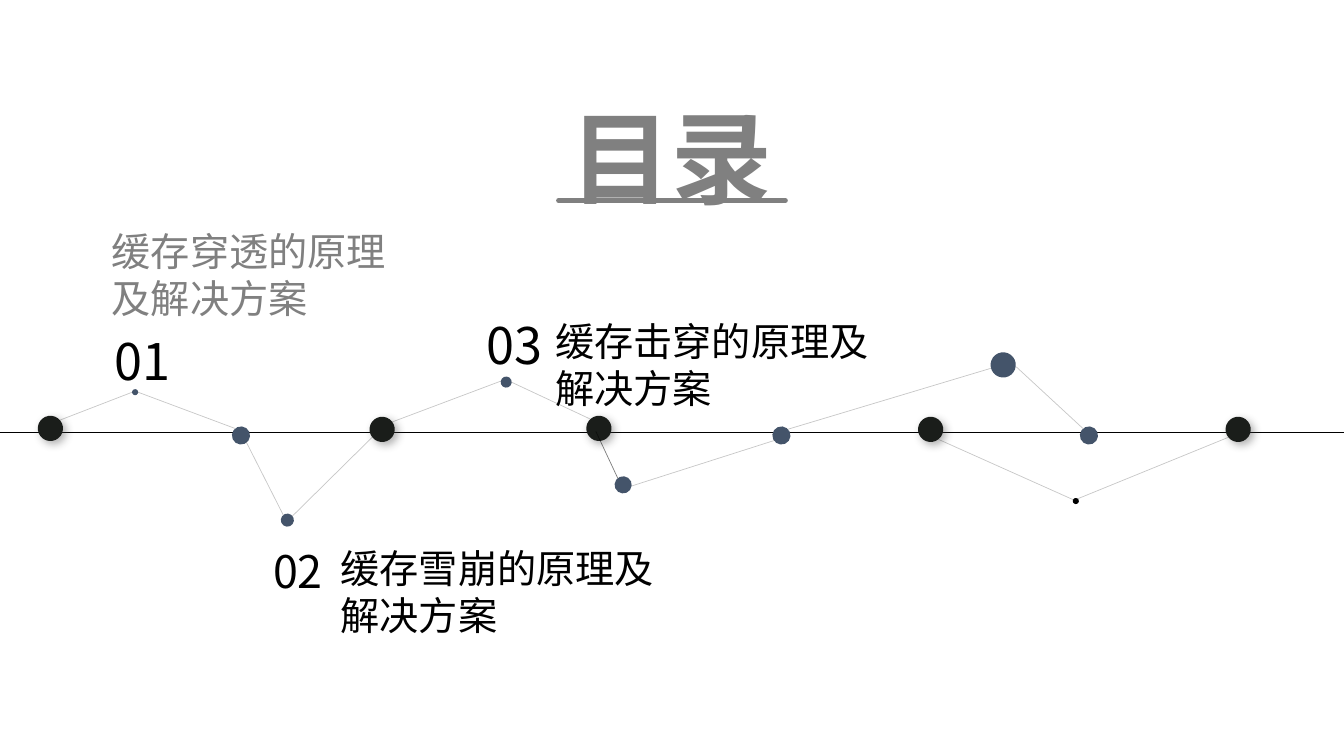
from dataclasses import dataclass

from lxml import etree
from pptx import Presentation
from pptx.dml.color import RGBColor
from pptx.enum.shapes import MSO_CONNECTOR as CONNECTOR, MSO_SHAPE as SHAPE
from pptx.enum.text import MSO_ANCHOR as ANCHOR, MSO_AUTO_SIZE as AUTO_SIZE, PP_ALIGN as ALIGN
from pptx.oxml import parse_xml
from pptx.oxml.ns import nsdecls, qn
from pptx.util import Inches, Pt


@dataclass(frozen=True)
class Theme:
    font: str = "Noto Sans CJK SC"
    black: str = "000000"
    gray: str = "808080"
    slate: str = "44546A"
    ink: str = "1A1D1A"
    shadow: str = "404040"
    title: int = 72
    number: int = 36
    number_small: int = 32
    topic: int = 28


THEME = Theme()

# Points on the axis: centre x, centre y
MAJOR_DOTS = [(0.5, 4.25), (3.79, 4.26), (5.94, 4.25), (9.23, 4.26), (12.28, 4.26)]
MINOR_DOTS = [(2.39, 4.32), (7.75, 4.32), (10.8, 4.32)]

# Points off the axis: centre x, centre y, diameter, colour
PEAK_DOTS = [
    (2.85, 5.16, 0.13, THEME.slate),
    (5.02, 3.79, 0.11, THEME.slate),
    (6.18, 4.81, 0.17, THEME.slate),
    (9.95, 3.62, 0.25, THEME.slate),
    (1.34, 3.89, 0.06, THEME.slate),
    (10.67, 4.97, 0.06, THEME.black),
]

# Thin links between the points: x1, y1, x2, y2, opacity in percent
LINKS = [
    (0.59, 4.17, 1.34, 3.88, 21),
    (1.34, 3.88, 2.33, 4.25, 21),
    (2.44, 4.38, 2.81, 5.11, 21),
    (2.9, 5.12, 3.69, 4.34, 21),
    (3.88, 4.19, 4.97, 3.78, 21),
    (5.86, 4.16, 5.07, 3.79, 21),
    (5.91, 4.28, 6.13, 4.75, 51),
    (7.68, 4.37, 6.27, 4.82, 21),
    (9.84, 3.65, 7.81, 4.26, 21),
    (10.74, 4.25, 10.08, 3.64, 21),
    (10.65, 4.96, 9.31, 4.36, 21),
    (12.18, 4.34, 10.66, 4.96, 21),
]

# Agenda: number, its box and size, topic, its box and colour
AGENDA = [
    ("01", (0.45, 3.23, 1.93, 0.71), THEME.number,
     "缓存穿透的原理及解决方案", (1.01, 2.21, 3.29, 1.04), THEME.gray),
    ("02", (1.99, 5.34, 1.93, 0.64), THEME.number_small,
     "缓存雪崩的原理及解决方案", (3.28, 5.35, 3.62, 1.04), THEME.black),
    ("03", (4.14, 3.07, 1.93, 0.71), THEME.number,
     "缓存击穿的原理及解决方案", (5.41, 3.1, 3.62, 1.04), THEME.black),
]


def add_line(slide, x1, y1, x2, y2, color, width, opacity=100, round_cap=False):
    line = slide.shapes.add_connector(
        CONNECTOR.STRAIGHT, Inches(x1), Inches(y1), Inches(x2), Inches(y2))
    line.line.color.rgb = RGBColor.from_string(color)
    line.line.width = Pt(width)
    properties = line.element.spPr
    outline = properties.find(qn("a:ln"))
    if opacity < 100:
        tint = outline.find(".//" + qn("a:srgbClr"))
        etree.SubElement(tint, qn("a:alpha")).set("val", str(opacity * 1000))
    if round_cap:
        outline.set("cap", "rnd")
    etree.SubElement(properties, qn("a:effectLst"))


def add_dot(slide, x, y, diameter, color, shadowed=False):
    radius = diameter / 2
    dot = slide.shapes.add_shape(
        SHAPE.OVAL, Inches(x - radius), Inches(y - radius), Inches(diameter), Inches(diameter))
    dot.rotation = 186.2
    dot.fill.solid()
    dot.fill.fore_color.rgb = RGBColor.from_string(color)
    dot.line.fill.background()
    dot.shadow.inherit = False
    if shadowed:
        effects = dot.element.spPr.find(qn("a:effectLst"))
        effects.append(parse_xml(
            f'<a:outerShdw {nsdecls("a")} blurRad="{Pt(6)}" dist="{Pt(3)}" dir="2700000" '
            f'algn="tl" rotWithShape="0"><a:srgbClr val="{THEME.shadow}">'
            '<a:alpha val="40000"/></a:srgbClr></a:outerShdw>'))


def add_text(slide, text, box, size, color, align=ALIGN.LEFT, anchor=ANCHOR.TOP,
             bold=False, spacing=None):
    label = slide.shapes.add_textbox(*map(Inches, box))
    frame = label.text_frame
    frame.word_wrap = True
    frame.auto_size = AUTO_SIZE.SHAPE_TO_FIT_TEXT
    frame.vertical_anchor = anchor
    frame.text = text
    paragraph = frame.paragraphs[0]
    paragraph.alignment = align
    paragraph.line_spacing = spacing
    run = paragraph.runs[0]
    run.font.size = Pt(size)
    run.font.bold = bold
    run.font.name = THEME.font
    run.font.color.rgb = RGBColor.from_string(color)
    east_asian = etree.SubElement(run.font._element, qn("a:ea"))
    east_asian.set("typeface", THEME.font)


def main():
    deck = Presentation()
    deck.slide_width, deck.slide_height = Inches(13.33), Inches(7.5)
    slide = deck.slides.add_slide(deck.slide_layouts[6])

    # Title underline and timeline axis
    add_line(slide, 5.54, 1.99, 7.79, 1.99, THEME.gray, 3.5, round_cap=True)
    add_line(slide, 0, 4.29, 13.33, 4.29, THEME.black, 0.75)

    # Constellation along the axis
    for x, y in MINOR_DOTS:
        add_dot(slide, x, y, 0.18, THEME.slate)
    for x, y in MAJOR_DOTS:
        add_dot(slide, x, y, 0.25, THEME.ink, shadowed=True)
    for *ends, opacity in LINKS:
        add_line(slide, *ends, THEME.black, 0.5, opacity)
    for peak in PEAK_DOTS:
        add_dot(slide, *peak)

    # Agenda entries
    for number, number_box, number_size, topic, topic_box, topic_color in AGENDA:
        add_text(slide, number, number_box, number_size, THEME.black, ALIGN.CENTER)
        add_text(slide, topic, topic_box, THEME.topic, topic_color)

    # Title
    add_text(slide, "目录", (4.2, 0.4, 4.92, 1.7), THEME.title, THEME.gray,
             ALIGN.CENTER, ANCHOR.MIDDLE, bold=True, spacing=1.5)

    deck.save("out.pptx")


main()
